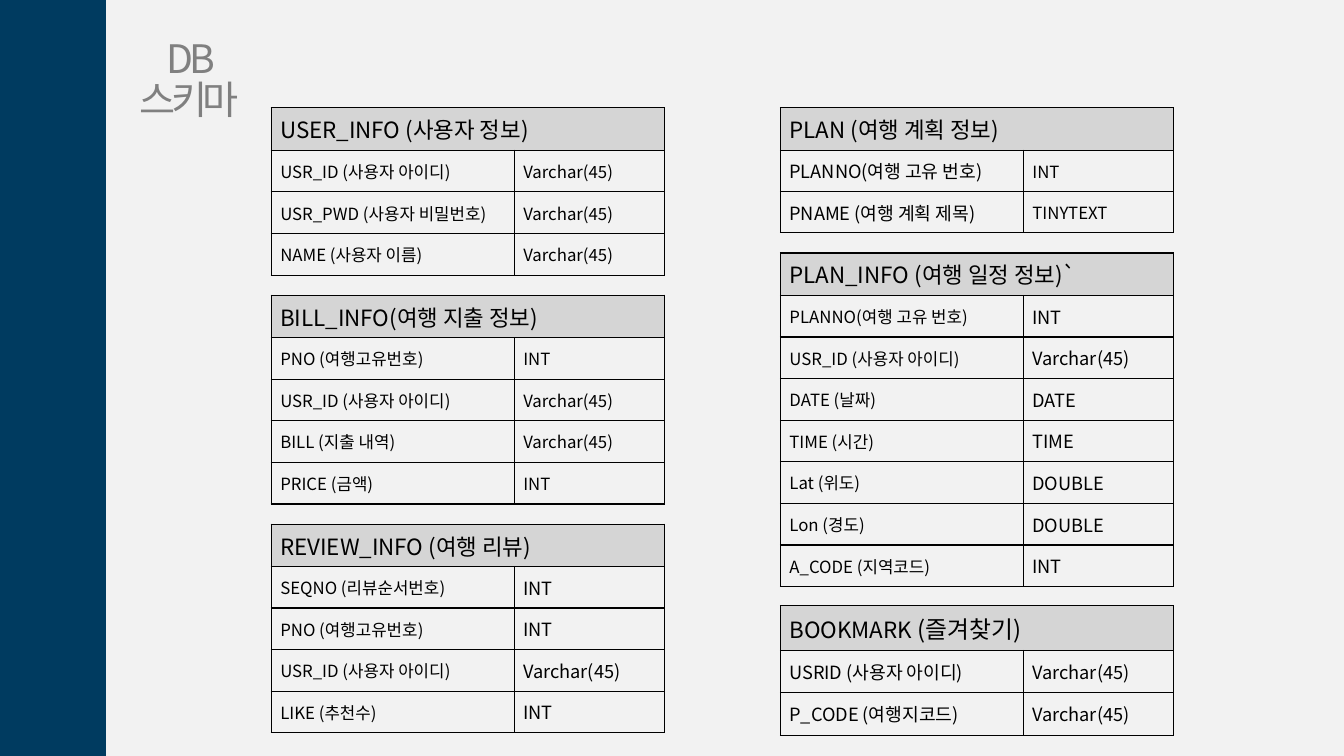
from pptx import Presentation
from pptx import util as u
from pptx.dml.color import RGBColor
from pptx.enum import shapes, text
from pptx.oxml import parse_xml
from pptx.oxml.ns import nsdecls, qn

FONT = "Noto Sans CJK KR"
BLACK, GREY = "000000", "7F7F7F"
LEFT, RIGHT = 2.69, 7.74
COLUMNS = (2.41, 1.49)
HEADER_HEIGHT = 0.39
V45 = "Varchar(45)"

# left, top, height, heading runs, field size, type size, rows
SCHEMAS = [
    (LEFT, 1.07, 1.63, [("USER_INFO (사용자 정보)", 16)], 12, 12, [
        ("USR_ID (사용자 아이디)", V45),
        ("USR_PWD (사용자 비밀번호)", V45),
        ("NAME (사용자 이름)", V45)]),
    (LEFT, 2.93, 2.04, [("BILL_INFO(여행 지출 정보)", 16)], 12, 12, [
        ("PNO (여행고유번호)", "INT"),
        ("USR_ID (사용자 아이디)", V45),
        ("BILL (지출 내역)", V45),
        ("PRICE (금액)", "INT")]),
    (LEFT, 5.2, 2.04, [("REVIEW_INFO (여행 리뷰)", 16)], 12, 13, [
        ("SEQNO (리뷰순서번호)", "INT"),
        ("PNO (여행고유번호)", "INT"),
        ("USR_ID (사용자 아이디)", V45),
        ("LIKE (추천수)", "INT")]),
    (RIGHT, 1.07, 1.21, [("PLAN (여행 계획 정보)", 16)], 13, 12, [
        ("PLANNO(여행 고유 번호)", "INT"),
        ("PNAME (여행 계획 제목)", "TINYTEXT")]),
    (RIGHT, 2.51, 3.28, [("PLAN_INFO (여행 일정 정보)`", 16)], 12, 13, [
        ("PLANNO(여행 고유 번호)", "INT"),
        ("USR_ID (사용자 아이디)", V45),
        ("DATE (날짜)", "DATE"),
        ("TIME (시간)", "TIME"),
        ("Lat (위도)", "DOUBLE"),
        ("Lon (경도)", "DOUBLE"),
        ("A_CODE (지역코드)", "INT")]),
    (RIGHT, 6.01, 1.23, [("BOOKMARK", 16), (" (즐겨찾기)", 17)], 13, 13, [
        ("USRID (사용자 아이디)", V45),
        ("P_CODE (여행지코드)", V45)]),
]


def rgb(color):
    return RGBColor.from_string(color)


def style_run(run, size, color):
    run.font.size = u.Pt(size)
    run.font.name = FONT
    run.font.color.rgb = rgb(color)
    properties = run.font._element
    properties.append(parse_xml(f'<a:ea {nsdecls("a")} typeface="{FONT}"/>'))
    return properties


def add_borders(cell):
    properties = cell._tc.get_or_add_tcPr()
    for index, side in enumerate(("lnL", "lnR", "lnT", "lnB")):
        properties.insert(index, parse_xml(
            f'<a:{side} {nsdecls("a")} w="12700"><a:solidFill>'
            f'<a:srgbClr val="{BLACK}"/></a:solidFill></a:{side}>'))


def fill_cell(cell, runs, margin):
    cell.vertical_anchor = text.MSO_ANCHOR.MIDDLE
    cell.margin_left = cell.margin_right = u.Inches(0.09)
    cell.margin_top = cell.margin_bottom = u.Inches(margin)
    paragraph = cell.text_frame.paragraphs[0]
    for words, size in runs:
        run = paragraph.add_run()
        run.text = words
        style_run(run, size, BLACK)


def add_schema(slide, left, top, height, heading, field_size, type_size, fields):
    table = slide.shapes.add_table(
        len(fields) + 1, 2, u.Inches(left), u.Inches(top),
        u.Inches(sum(COLUMNS)), u.Inches(height)).table
    table.first_row = table.horz_banding = False
    for column, width in zip(table.columns, COLUMNS):
        column.width = u.Inches(width)
    for row in table.rows:
        row.height = u.Inches((height - HEADER_HEIGHT) / len(fields))
    table.rows[0].height = u.Inches(HEADER_HEIGHT)
    for cell in table.iter_cells():
        cell.fill.background()
        add_borders(cell)

    # Heading across both columns, in translucent grey
    header = table.cell(0, 0)
    header.merge(table.cell(0, 1))
    header.fill.solid()
    header.fill.fore_color.rgb = rgb(GREY)
    tint = header._tc.tcPr.find(qn("a:solidFill"))[0]
    tint.append(parse_xml(f'<a:alpha {nsdecls("a")} val="25000"/>'))
    fill_cell(header, heading, 0.05)

    # Field names and their types
    for row, (field, data_type) in enumerate(fields, 1):
        fill_cell(table.cell(row, 0), [(field, field_size)], 0.04)
        fill_cell(table.cell(row, 1), [(data_type, type_size)], 0.04)


def add_side_band(slide):
    band = slide.shapes.add_shape(
        shapes.MSO_SHAPE.RECTANGLE, 0, 0, u.Inches(1.05), u.Inches(7.5))
    band.shadow.inherit = False
    band.fill.solid()
    band.fill.fore_color.rgb = rgb("003B60")
    band.line.fill.background()


def set_title(slide, words):
    title = slide.shapes.title
    title.left, title.top = u.Inches(1.06), u.Inches(0.35)
    title.width, title.height = u.Inches(1.63), u.Inches(0.57)
    frame = title.text_frame
    frame.text = words
    frame.word_wrap = True
    frame.auto_size = text.MSO_AUTO_SIZE.NONE
    frame.vertical_anchor = text.MSO_ANCHOR.TOP
    frame.margin_left = frame.margin_right = u.Inches(0.2)
    paragraph = frame.paragraphs[0]
    paragraph.alignment = text.PP_ALIGN.CENTER
    paragraph.line_spacing = 0.87
    style_run(paragraph.runs[0], 28, "808080").set("spc", "-300")


def main():
    deck = Presentation()
    deck.slide_width, deck.slide_height = u.Inches(13.33), u.Inches(7.5)
    slide = deck.slides.add_slide(deck.slide_layouts[5])
    slide.background.fill.solid()
    slide.background.fill.fore_color.rgb = rgb("F2F2F2")

    add_side_band(slide)
    set_title(slide, "DB 스키마")
    for schema in SCHEMAS:
        add_schema(slide, *schema)
    deck.save("out.pptx")


if __name__ == "__main__":
    main()
